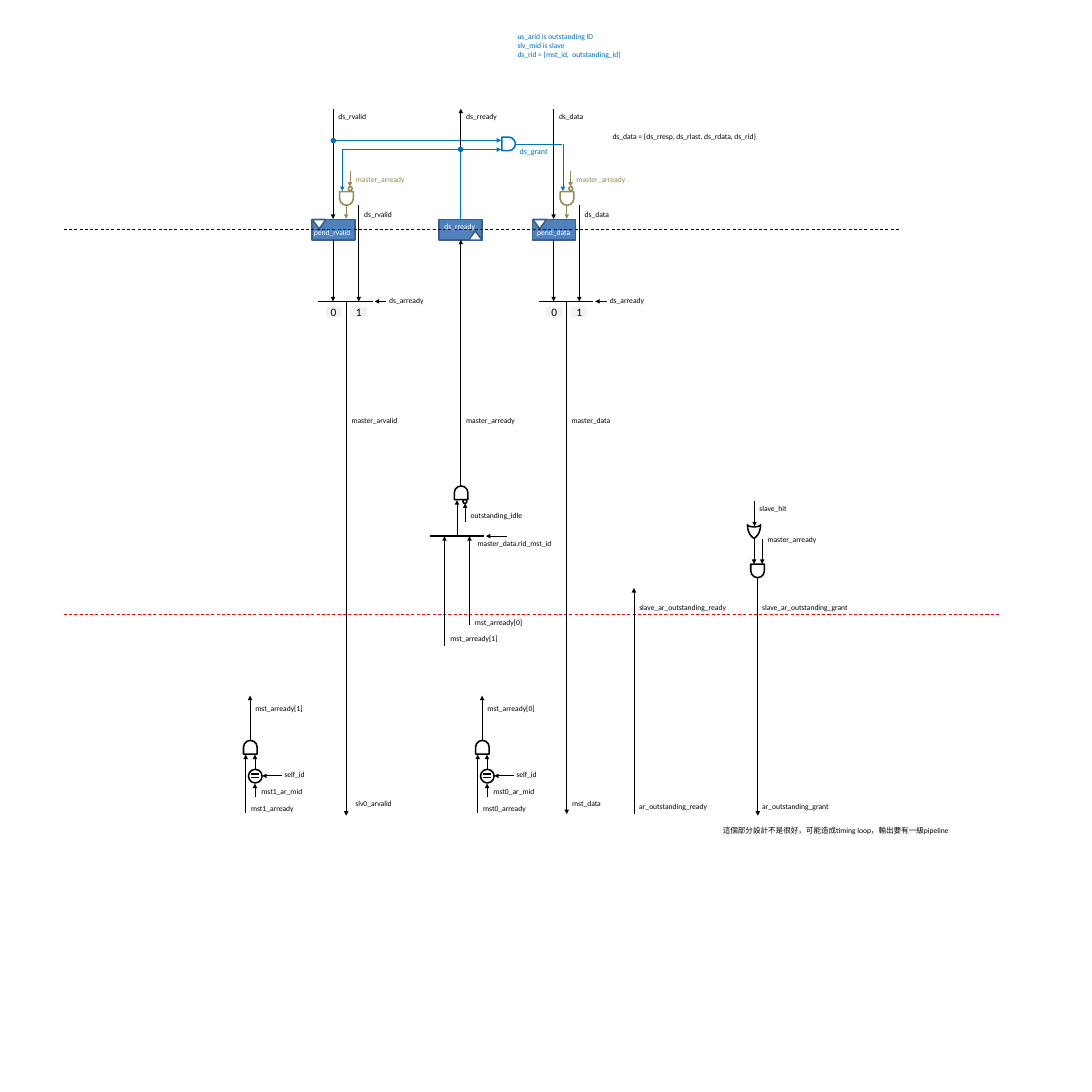
from lxml.etree import SubElement
from pptx import Presentation
from pptx.dml.color import RGBColor
from pptx.enum.dml import MSO_LINE_DASH_STYLE as Dash
from pptx.enum.shapes import MSO_CONNECTOR as Link, MSO_SHAPE as Kind
from pptx.enum.text import MSO_ANCHOR as Anchor, MSO_AUTO_SIZE as Fit, PP_ALIGN as Align
from pptx.oxml.ns import qn
from pptx.util import Cm, Pt

COLORS = {"black": "000000", "white": "FFFFFF", "blue": "0070C0", "olive": "948A54",
          "red": "FF0000", "register": "4F81BD", "border": "3A5F8C", "chip": "F2F2F2"}
GRID = 2.54  # one grid unit in cm; all places below are in grid units
GATE, DOT = 0.25, 0.07

# Clock boundaries: x from, x to, y, colour
BOUNDARIES = [(1.17, 16.5, 4.2, "black"), (1.17, 18.33, 11.26, "red")]

# Pending columns: x, signal, signal width, register label, label x, label width,
# y where the grant wire starts, y where the output ends
PENDING = [
    (6.1, "ds_rvalid", 0.72, "pend_rvalid", 5.65, 0.88, 2.74, 14.94),
    (10.14, "ds_data", 0.65, "pend_data", 9.74, 0.82, 2.64, 14.91),
]
# Master ready columns: x, master number
MASTERS = [(4.58, 1), (8.83, 0)]

# Wires: x from, y from, x to, y to, colour, arrow at the end
WIRES = [
    (6.27, 2.74, 8.41, 2.74, "blue", False),
    (6.14, 2.57, 9.18, 2.57, "blue", True),
    (8.47, 2.74, 9.18, 2.74, "blue", True),
    (9.44, 2.64, 10.3, 2.64, "blue", False),
    (8.44, 4.02, 8.44, 2.75, "blue", False),
    (8.44, 2.7, 8.44, 1.99, "black", True),
    (8.44, 8.9, 8.44, 4.39, "black", True),
    (8.37, 9.83, 8.37, 9.16, "black", True),
    (8.52, 9.56, 8.52, 9.22, "black", True),
    (9.28, 9.82, 8.9, 9.82, "black", True),
    (8.6, 11.45, 8.6, 9.82, "black", True),
    (8.14, 11.83, 8.14, 9.82, "black", True),
    (11.61, 14.91, 11.61, 10.77, "black", True),
    (13.82, 9.18, 13.82, 9.64, "black", True),
    (13.81, 9.87, 13.81, 10.33, "black", True),
    (13.96, 9.87, 13.96, 10.33, "black", True),
    (13.88, 10.58, 13.88, 14.94, "black", True),
]
# OR gate: corners and the control points between them, for its left half
OR_SIDE = [(13.81, 9.86), (13.81, 9.86), (13.69, 9.8), (13.69, 9.61)]
OR_TOP = [(13.69, 9.61), (13.7, 9.65), (13.81, 9.65), (13.81, 9.65)]

# Labels: text, x, y, width, colour
LABELS = [
    ("us_arid is outstanding ID\nslv_mid is slave\nds_rid = {mst_id,  outstanding_id}",
     9.38, 0.53, 2.12, "blue"),
    ("ds_data = {ds_rresp, ds_rlast, ds_rdata, ds_rid}", 11.12, 2.37, 2.87, "black"),
    ("ds_rready", 8.44, 2, 0.77, "black"),
    ("ds_rready", 8.04, 4.02, 0.77, "white"),
    ("master_arvalid", 6.34, 7.57, 1.05, "black"),
    ("master_arready", 8.44, 7.57, 1.11, "black"),
    ("master_data", 10.37, 7.57, 0.93, "black"),
    ("outstanding_idle", 8.52, 9.3, 1.16, "black"),
    ("master_data.rid_mst_id", 8.65, 9.83, 1.57, "black"),
    ("mst_arready[0]", 8.6, 11.27, 1.08, "black"),
    ("mst_arready[1]", 8.15, 11.57, 1.08, "black"),
    ("slave_hit", 13.81, 9.18, 0.71, "black"),
    ("master_arready", 13.96, 9.75, 1.11, "black"),
    ("slave_ar_outstanding_ready", 11.61, 10.99, 1.82, "black"),
    ("slave_ar_outstanding_grant", 13.86, 11, 1.8, "black"),
    ("ar_outstanding_ready", 11.61, 14.64, 1.46, "black"),
    ("ar_outstanding_grant", 13.86, 14.64, 1.44, "black"),
    ("slv0_arvalid", 6.41, 14.58, 0.88, "black"),
    ("mst_data", 10.38, 14.59, 0.74, "black"),
    ("這個部分設計不是很好，可能造成timing loop，輸出要有一級pipeline", 13.14, 15.08, 4.39, "black"),
]

deck = Presentation()
deck.slide_width = deck.slide_height = Cm(20 * GRID)
shapes = deck.slides.add_slide(deck.slide_layouts[6]).shapes


def place(*units):
    return [Cm(unit * GRID) for unit in units]


def rgb(color):
    return RGBColor.from_string(COLORS[color])


def write(frame, text, size=10, color="black", align=Align.LEFT):
    for row, line in enumerate(text.split("\n")):
        para = frame.paragraphs[0] if row == 0 else frame.add_paragraph()
        para.alignment = align
        run = para.add_run()
        run.text = line
        run.font.name, run.font.size = "Calibri", Pt(size)
        run.font.color.rgb = rgb(color)


def label(text, x, y, width, color="black", size=10):
    height = 0.27 + 0.17 * text.count("\n")
    frame = shapes.add_textbox(*place(x, y, width, height)).text_frame
    frame.word_wrap, frame.auto_size = False, Fit.SHAPE_TO_FIT_TEXT
    write(frame, text, size, color)


def paint(shape, fill, line):
    shape.shadow.inherit = False
    if fill:
        shape.fill.solid()
        shape.fill.fore_color.rgb = rgb(fill)
    else:
        shape.fill.background()
    shape.line.color.rgb, shape.line.width = rgb(line), Pt(2)


def block(kind, x, y, width, height, fill, line, turn=0):
    shape = shapes.add_shape(kind, *place(x, y, width, height))
    shape.rotation = turn
    paint(shape, fill, line)
    return shape


def and_gate(x, y, turn, fill="white", line="black"):
    block(Kind.FLOWCHART_DELAY, x, y, GATE, GATE, fill, line, turn)


def dot(x, y, fill, line):
    block(Kind.OVAL, x, y, DOT, DOT, fill, line)


def wire(x1, y1, x2, y2, color="black", arrow=True, width=1, dash=None):
    link = shapes.add_connector(Link.STRAIGHT, *place(x1, y1, x2, y2))
    link.line.color.rgb, link.line.width = rgb(color), Pt(width)
    if dash:
        link.line.dash_style = dash
    if arrow:
        SubElement(link.line._get_or_add_ln(), qn("a:tailEnd"), type="triangle")
    SubElement(link._element.spPr, qn("a:effectLst"))


def register(x, mark_x, mark_y, turn):
    block(Kind.RECTANGLE, x, 4.02, 0.79, 0.38, "register", "border")
    block(Kind.ISOSCELES_TRIANGLE, mark_x, mark_y, 0.25, 0.17, "white", "border", turn)


def mux(x, y):
    wire(x, y, x + 1, y, arrow=False, width=2)


def curve(points, steps=12):
    for step in range(1, steps + 1):
        t = step / steps
        weights = ((1 - t) ** 3, 3 * t * (1 - t) ** 2, 3 * t * t * (1 - t), t ** 3)
        yield tuple(sum(w * p[axis] for w, p in zip(weights, points)) for axis in (0, 1))


def or_gate():
    left = [OR_SIDE[0], *curve(OR_SIDE), *curve(OR_TOP)]
    right = [(2 * OR_SIDE[0][0] - x, y) for x, y in reversed(left)]
    outline = [place(*point) for point in left + right[1:-1]]
    builder = shapes.build_freeform(*outline[0])
    builder.add_line_segments(outline[1:], close=True)
    paint(builder.convert_to_shape(), "white", "black")


def pending_column(x, signal, signal_width, name, name_x, name_width, grant_y, end_y):
    wire(x, 2, x, 4.01)
    wire(x, 4.39, x, 5.52)
    wire(x + 0.47, 3.76, x + 0.47, 5.52)
    wire(x + 0.24, 5.52, x + 0.24, end_y)
    wire(x + 0.97, 5.52, x + 0.76, 5.52)
    wire(x + 0.17, grant_y, x + 0.17, 3.5, "blue")
    wire(x + 0.24, 3.76, x + 0.24, 4.01, "olive")
    wire(x + 0.31, 3.14, x + 0.31, 3.42, "olive")
    and_gate(x + 0.12, 3.51, 90, None, "olive")
    dot(x + 0.28, 3.42, "white", "olive")
    mux(x - 0.27, 5.52)
    for digit, chip_x in (("0", x - 0.15), ("1", x + 0.31)):
        chip = block(Kind.RECTANGLE, chip_x, 5.6, 0.32, 0.22, "chip", "white")
        chip.text_frame.vertical_anchor = Anchor.MIDDLE
        write(chip.text_frame, digit, 15, align=Align.CENTER)
    label(signal, x, 2, signal_width)
    label(signal, x + 0.47, 3.79, signal_width)
    label("master_arready", x + 0.32, 3.15, 1.11, "olive")
    label("ds_arready", x + 0.93, 5.38, 0.84)
    label(name, name_x, 4.13, name_width, "white")


def master_column(x, number):
    wire(x, 13.56, x, 12.74)
    wire(x - 0.08, 14.89, x - 0.08, 13.82)
    wire(x + 0.09, 14.1, x + 0.09, 13.82)
    wire(x + 0.09, 14.6, x + 0.09, 14.35)
    wire(x + 0.59, 14.21, x + 0.22, 14.21)
    and_gate(x - 0.12, 13.56, 270)
    block(Kind.OVAL, x - 0.03, 14.09, GATE, GATE, "white", "black")
    for bar_y in (14.18, 14.24):
        wire(x + 0.02, bar_y, x + 0.16, bar_y, arrow=False, width=2)
    label(f"mst_arready[{number}]", x, 12.85, 1.08)
    label("self_id", x + 0.53, 14.06, 0.58)
    label(f"mst{number}_ar_mid", x + 0.11, 14.37, 0.96)
    label(f"mst{number}_arready", x - 0.08, 14.67, 1)


# Registers, then the boundaries that cross them
register(8.04, 8.58, 4.23, 0)
for column in PENDING:
    register(column[0] - 0.39, column[0] - 0.38, 4.02, 180)
for start, end, level, color in BOUNDARIES:
    wire(start, level, end, level, color, arrow=False, dash=Dash.DASH)

# Repeated columns
for column in PENDING:
    pending_column(*column)
for column in MASTERS:
    master_column(*column)

# Remaining wires, gates and joints
for path_ends in WIRES:
    wire(*path_ends)
mux(7.87, 9.82)
and_gate(9.19, 2.51, 0, None, "blue")
and_gate(8.32, 8.9, 270)
and_gate(13.75, 10.33, 90)
or_gate()
dot(8.48, 9.15, "white", "black")
for joint in ((6.07, 2.54), (8.4, 2.7)):
    dot(*joint, "blue", "blue")

# Labels
for entry in LABELS:
    label(*entry)
label("ds_grant", 9.42, 2.64, 0.73, "blue", size=10.5)

deck.save("out.pptx")
